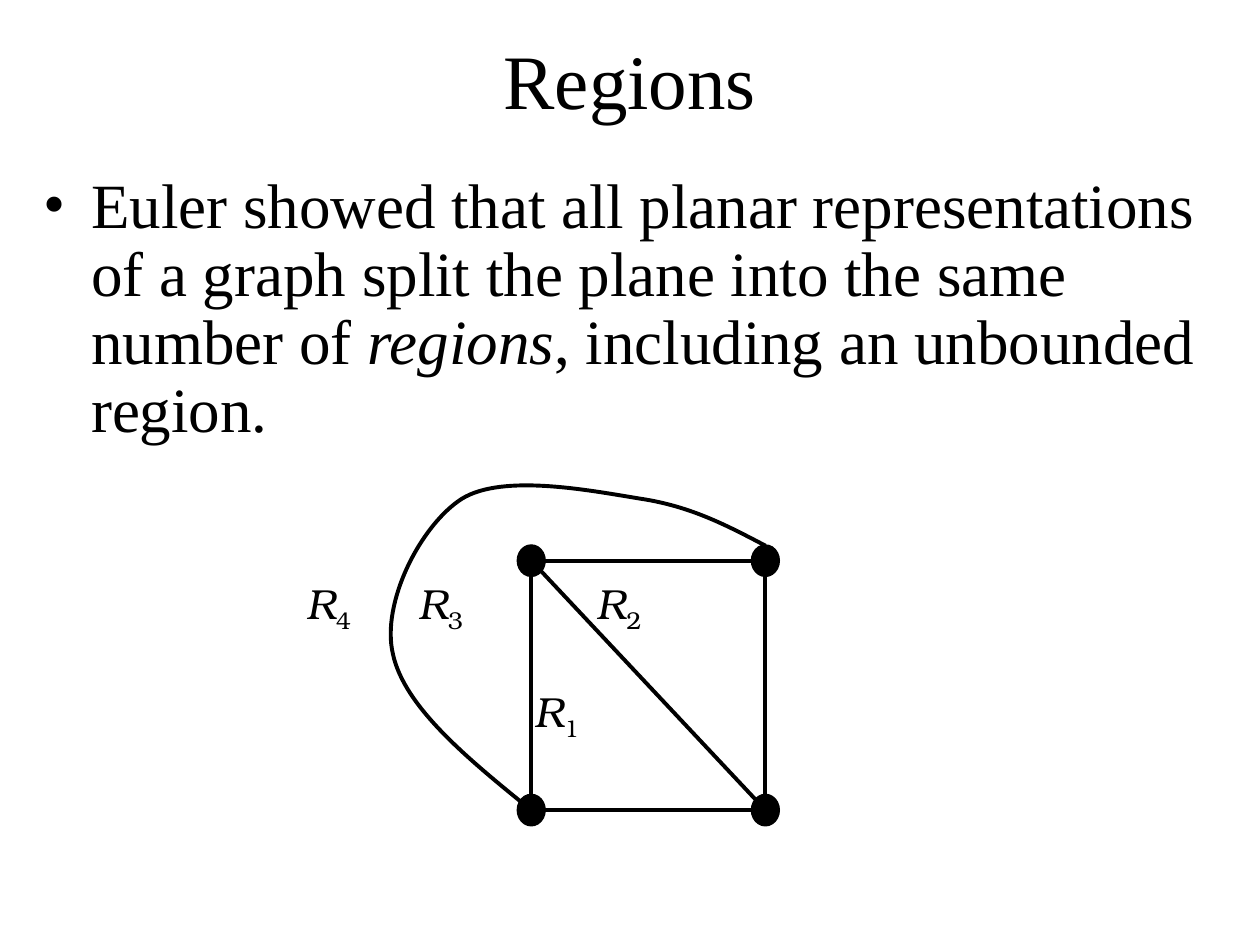
from lxml import etree
from pptx import Presentation
from pptx.dml.color import RGBColor
from pptx.enum import shapes as sh, text as tx
from pptx.oxml.ns import qn
from pptx.util import Pt

INK = "000000"
SERIF = "Times New Roman"
MATH = "TeX Gyre Bonum"


def color(code):
    """Turn a hex string into a colour."""
    return RGBColor.from_string(code)


def style(run, face, size, slant=False):
    """Format one run of text."""
    font = run.font
    font.name, font.size, font.italic = face, Pt(size), slant
    font.color.rgb = color(INK)


def outline(shape, width):
    """Give a shape or connector a plain line without shadow."""
    shape.line.color.rgb = color(INK)
    shape.line.width = Pt(width)
    etree.SubElement(shape._element.spPr, qn("a:effectLst"))


def heading(slide, box, words):
    """Place and format the title."""
    title = slide.shapes.title
    title.left, title.top, title.width, title.height = map(Pt, box)
    frame = title.text_frame
    frame.text = words
    frame.vertical_anchor = tx.MSO_ANCHOR.MIDDLE
    para = frame.paragraphs[0]
    para.alignment = tx.PP_ALIGN.CENTER
    style(para.runs[0], SERIF, 44)


def body(slide, box, parts):
    """Place one bulleted paragraph made of (words, slant) parts."""
    frame = slide.shapes.add_textbox(*map(Pt, box)).text_frame
    frame.word_wrap = True
    para = frame.paragraphs[0]
    para.line_spacing = 0.9
    para.space_before = Pt(7.2)
    props = para._p.get_or_add_pPr()
    props.set("marL", str(Pt(27)))
    props.set("indent", str(Pt(-27)))
    etree.SubElement(props, qn("a:buFont")).set("typeface", SERIF)
    etree.SubElement(props, qn("a:buChar")).set("char", "•")
    for words, slant in parts:
        run = para.add_run()
        run.text = words
        style(run, SERIF, 36, slant)


def curve(group, points):
    """Draw a chain of cubic curves: a start, then three points each."""
    start, *rest = [(Pt(x), Pt(y)) for x, y in points]
    form = group.shapes.build_freeform(*start)
    form.add_line_segments(rest, close=False)
    shape = form.convert_to_shape()
    shape.fill.background()
    outline(shape, 2.25)
    track = shape._element.find(".//" + qn("a:path"))
    steps = track.findall(qn("a:lnTo"))
    for i in range(0, len(steps), 3):
        bend = etree.SubElement(track, qn("a:cubicBezTo"))
        for step in steps[i:i + 3]:
            bend.append(step[0])
            track.remove(step)


def label(group, left, top, digit):
    """Write a region name with its subscript."""
    frame = group.shapes.add_textbox(Pt(left), Pt(top), Pt(40), Pt(36)).text_frame
    frame.margin_left = frame.margin_right = 0
    frame.margin_top = frame.margin_bottom = 0
    frame.word_wrap = False
    for words, slant in (("R", True), (digit, False)):
        run = frame.paragraphs[0].add_run()
        run.text = words
        style(run, MATH, 24, slant)
    run.font._element.set("baseline", "-25000")


def graph(slide, box):
    """Draw the planar graph, its square filling the box."""
    left, top, width, height = box
    group = slide.shapes.add_group_shape()
    square = group.shapes.add_shape(sh.MSO_SHAPE.RECTANGLE, *map(Pt, box))
    square.fill.background()
    outline(square, 2.25)
    cross = group.shapes.add_connector(
        sh.MSO_CONNECTOR.STRAIGHT,
        Pt(left), Pt(top), Pt(left + width), Pt(top + height))
    outline(cross, 2.25)
    wide, high = 16, 18
    for x in (left, left + width):
        for y in (top, top + height):
            node = group.shapes.add_shape(
                sh.MSO_SHAPE.OVAL, Pt(x - wide / 2), Pt(y - high / 2), Pt(wide), Pt(high))
            node.fill.solid()
            node.fill.fore_color.rgb = color(INK)
            outline(node, 0.75)
    bends = [(width, -8.6), (112, -20), (91.5, -31), (62.6, -35.4),
             (34, -40), (-16, -50), (-39.6, -35.4),
             (-63, -20.5), (-86, 24), (-79, 53.4),
             (-72.5, 83.5), (-36.5, 113), (0, height)]
    curve(group, [(left + x, top + y) for x, y in bends])
    for digit, x, y in (("4", -128.5, 9.5), ("3", -64.5, 9.5),
                        ("2", 37.5, 9.5), ("1", 2, 71.2)):
        label(group, left + x, top + y, digit)


def main():
    """Build and save the slide."""
    deck = Presentation()
    deck.slide_width, deck.slide_height = Pt(720), Pt(540)
    slide = deck.slides.add_slide(deck.slide_layouts[5])
    heading(slide, (36, 12, 648, 66), "Regions")
    body(slide, (18, 96, 678, 204), [
        ("Euler showed that all planar representations of a graph "
         "split the plane into the same number of ", False),
        ("regions", True),
        (", including an unbounded region.", False)])
    graph(slide, (303.6, 320.4, 133.8, 142.5))
    deck.save("out.pptx")


if __name__ == "__main__":
    main()
